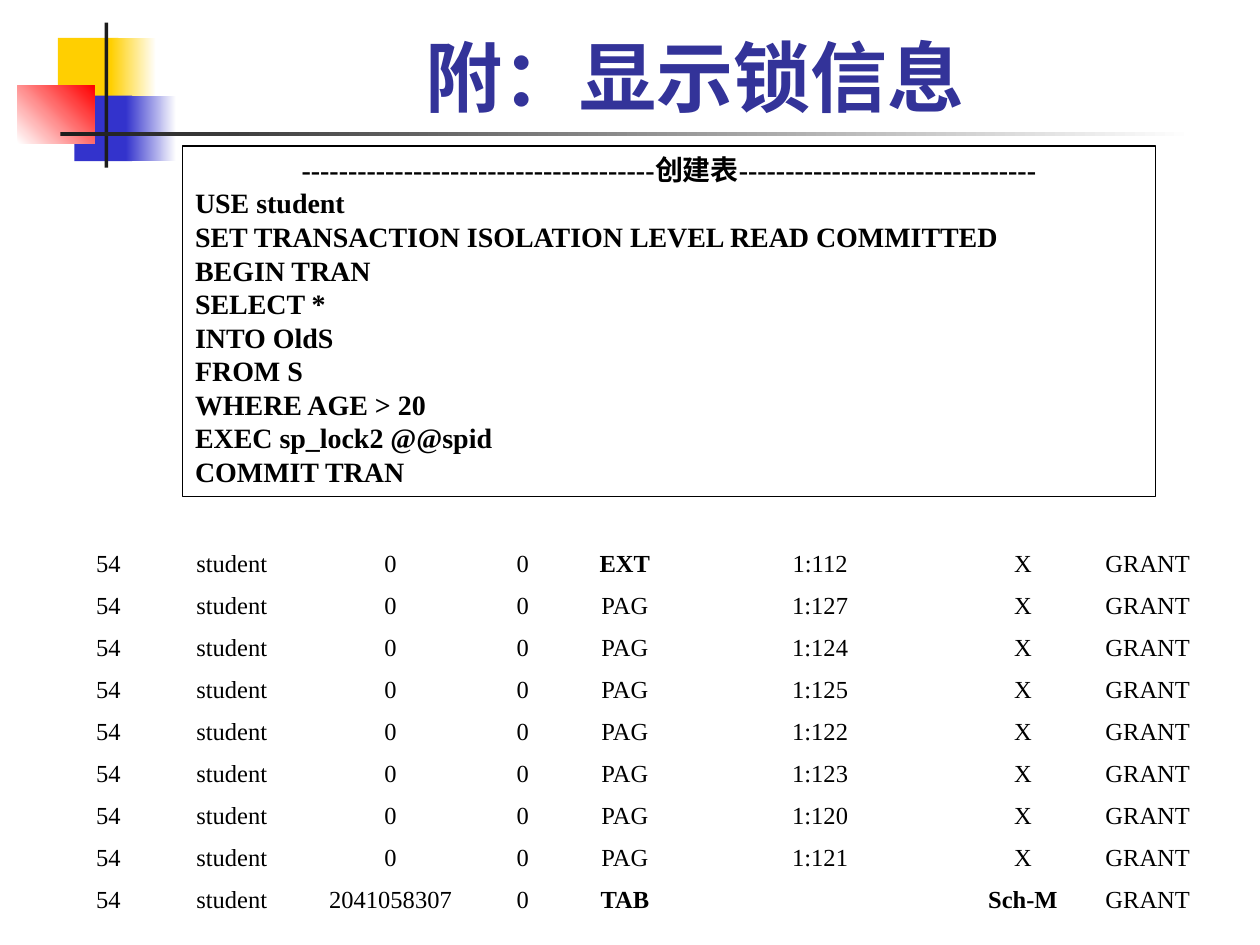
from dataclasses import dataclass
from typing import Optional

from pptx import Presentation
from pptx.dml.color import RGBColor as RGB
from pptx.enum.shapes import MSO_SHAPE as Kind
from pptx.enum.text import MSO_ANCHOR as Anchor, PP_ALIGN as Align
from pptx.util import Inches, Pt


@dataclass(frozen=True)
class Theme:
    white: str = "FFFFFF"
    black: str = "000000"
    yellow: str = "FFCF01"
    blue: str = "3333CC"
    red: str = "FF0000"
    dark: str = "1C1C1C"
    title: str = "333399"
    head: str = "Karla"
    body: str = "Times New Roman"
    big: int = 44
    code: int = 16
    cell: int = 14


@dataclass(frozen=True)
class Block:
    x: float
    y: float
    w: float
    h: float
    fill: str
    fade: Optional[str] = None
    turn: int = 0


LOOK = Theme()

# Corner squares and rules, back to front
BLOCKS = [
    Block(0.46, 0.3, 0.48, 0.52, LOOK.yellow),
    Block(0.88, 0.3, 0.36, 0.52, LOOK.yellow, LOOK.white),
    Block(0.59, 0.76, 0.46, 0.52, LOOK.blue),
    Block(1, 0.76, 0.4, 0.52, LOOK.blue, LOOK.white),
    Block(0.14, 0.68, 0.61, 0.46, LOOK.white, LOOK.red, 45),
    Block(0.83, 0.18, 0.03, 1.15, LOOK.dark),
    Block(0.48, 1.05, 9, 0.03, LOOK.dark, LOOK.white),
]

CODE = [
    "-" * 38 + "创建表" + "-" * 32,
    "USE student",
    "SET TRANSACTION ISOLATION LEVEL READ COMMITTED",
    "BEGIN TRAN",
    "SELECT *",
    "INTO OldS",
    "FROM S",
    "WHERE AGE > 20",
    "EXEC sp_lock2 @@spid",
    "COMMIT TRAN",
]

# Lock list: object, type, resource, mode
PAGES = [127, 124, 125, 122, 123, 120, 121]
LOCKS = [
    ("0", "EXT", "1:112", "X"),
    *[("0", "PAG", f"1:{page}", "X") for page in PAGES],
    ("2041058307", "TAB", "", "Sch-M"),
]
STRONG = {"EXT", "TAB", "Sch-M"}
COLS = [0.7, 1.26, 1.26, 0.84, 0.78, 2.32, 0.9, 1.08]


def style(para, face: str, size: int, color: str, bold: bool, align) -> None:
    para.alignment = align
    font = para.font
    font.name, font.size, font.bold = face, Pt(size), bold
    font.color.rgb = RGB.from_string(color)


def draw_block(slide, part: Block):
    box = slide.shapes.add_shape(
        Kind.RECTANGLE, Inches(part.x), Inches(part.y), Inches(part.w), Inches(part.h))
    box.shadow.inherit = False
    box.line.fill.background()
    if part.fade:
        box.fill.gradient()
        box.fill.gradient_angle = part.turn
        for stop, color in zip(box.fill.gradient_stops, (part.fill, part.fade)):
            stop.color.rgb = RGB.from_string(color)
    else:
        box.fill.solid()
        box.fill.fore_color.rgb = RGB.from_string(part.fill)
    return box


def draw_title(slide, text: str) -> None:
    box = slide.shapes.add_textbox(Inches(1.26), Inches(0.18), Inches(8.52), Inches(0.84))
    frame = box.text_frame
    frame.word_wrap = True
    frame.vertical_anchor = Anchor.BOTTOM
    frame.text = text
    style(frame.paragraphs[0], LOOK.head, LOOK.big, LOOK.title, True, Align.CENTER)


def draw_code(slide, lines: list[str]) -> None:
    box = draw_block(slide, Block(1.45, 1.16, 7.72, 2.78, LOOK.white))
    box.line.color.rgb = RGB.from_string(LOOK.black)
    box.line.width = Pt(0.75)
    frame = box.text_frame
    frame.word_wrap = True
    frame.vertical_anchor = Anchor.TOP
    frame.text = "\n".join(lines)
    for i, para in enumerate(frame.paragraphs):
        align = Align.JUSTIFY if i else Align.CENTER
        style(para, LOOK.body, LOOK.code, LOOK.black, True, align)


def draw_locks(slide, locks: list[tuple[str, str, str, str]]) -> None:
    grid = slide.shapes.add_table(
        len(locks), len(COLS), Inches(0.51), Inches(4.31), Inches(sum(COLS)), Inches(3)).table
    grid.first_row = grid.horz_banding = False
    for col, width in zip(grid.columns, COLS):
        col.width = Inches(width)
    for row, (item, kind, place, mode) in zip(grid.rows, locks):
        texts = ("54", "student", item, "0", kind, place, mode, "GRANT")
        for cell, text in zip(row.cells, texts):
            cell.fill.background()
            cell.vertical_anchor = Anchor.MIDDLE
            cell.margin_top = cell.margin_bottom = Inches(0)
            cell.text = text
            style(cell.text_frame.paragraphs[0], LOOK.body, LOOK.cell, LOOK.black,
                  text in STRONG, Align.CENTER)


def main() -> None:
    deck = Presentation()
    deck.slide_width, deck.slide_height = Inches(10), Inches(7.5)
    slide = deck.slides.add_slide(deck.slide_layouts[6])
    for part in BLOCKS:
        draw_block(slide, part)
    draw_title(slide, "附：显示锁信息")
    draw_code(slide, CODE)
    draw_locks(slide, LOCKS)
    deck.save("out.pptx")


if __name__ == "__main__":
    main()
